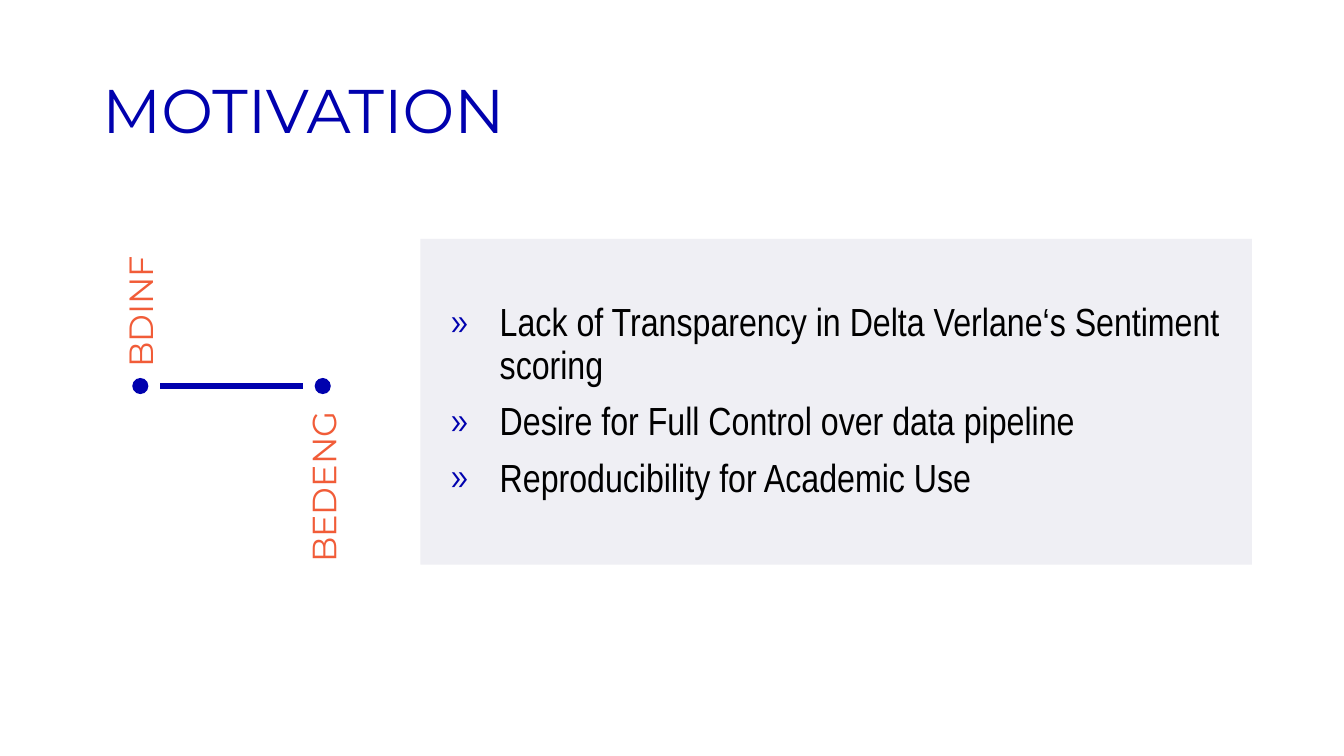
"""Build the motivation slide with a two-course timeline and a bullet panel."""
import pptx
import pptx.dml.color
import pptx.enum.shapes
import pptx.enum.text
import pptx.oxml
import pptx.oxml.ns
import pptx.util
from pptx.util import Pt

BLUE, ORANGE, PANEL, BLACK = "0001AE", "F15C38", "EFEFF4", "000000"
NAMESPACE = pptx.oxml.ns.nsdecls("a")


def paint(color_owner, color):
    color_owner.fill.solid()
    color_owner.fill.fore_color.rgb = pptx.dml.color.RGBColor.from_string(color)


def add_run(paragraph, text, size, font_name, color):
    run = paragraph.add_run()
    run.text = text
    run.font.size = Pt(size)
    run.font.name = font_name
    paint(run.font, color)


presentation = pptx.Presentation()
presentation.slide_width, presentation.slide_height = Pt(960), Pt(540)
slide = presentation.slides.add_slide(presentation.slide_layouts[5])

title = slide.shapes.title
title.left, title.top, title.width, title.height = Pt(66), Pt(28.8), Pt(828), Pt(104.4)
title.text_frame.vertical_anchor = pptx.enum.text.MSO_ANCHOR.MIDDLE
title_paragraph = title.text_frame.paragraphs[0]
title_paragraph.alignment = pptx.enum.text.PP_ALIGN.LEFT
title_paragraph.line_spacing = 0.9
add_run(title_paragraph, "MOTIVATION", 44, "Montserrat", BLUE)

panel = slide.shapes.add_shape(
    pptx.enum.shapes.MSO_SHAPE.RECTANGLE, Pt(300.2), Pt(170.7), Pt(594), Pt(232.6))
panel.shadow.inherit = False
paint(panel, PANEL)
panel.line.fill.background()
panel.text_frame.word_wrap = True
panel.text_frame.vertical_anchor = pptx.enum.text.MSO_ANCHOR.MIDDLE
reasons = [
    "Lack of Transparency in Delta Verlane‘s Sentiment scoring",
    "Desire for Full Control over data pipeline",
    "Reproducibility for Academic Use",
]
for index, reason in enumerate(reasons):
    paragraph = panel.text_frame.add_paragraph() if index else panel.text_frame.paragraphs[0]
    paragraph.alignment = pptx.enum.text.PP_ALIGN.LEFT
    paragraph.line_spacing = 0.9
    paragraph.space_before = Pt(10)
    properties = paragraph._p.get_or_add_pPr()
    properties.set("marL", str(Pt(49.7)))
    properties.set("indent", str(Pt(-35.3)))
    for bullet in (f'<a:buClr {NAMESPACE}><a:srgbClr val="{BLUE}"/></a:buClr>',
                   f'<a:buFont {NAMESPACE} typeface="Montserrat"/>',
                   f'<a:buChar {NAMESPACE} char="»"/>'):
        properties.append(pptx.oxml.parse_xml(bullet))
    add_run(paragraph, reason, 28, "Arial Narrow", BLACK)

for dot_left in (94.5, 224.8):
    dot = slide.shapes.add_shape(
        pptx.enum.shapes.MSO_SHAPE.OVAL, Pt(dot_left), Pt(270), Pt(11.5), Pt(11.5))
    dot.shadow.inherit = False
    paint(dot, BLUE)
    dot.line.fill.background()

timeline = slide.shapes.add_connector(
    pptx.enum.shapes.MSO_CONNECTOR.STRAIGHT, Pt(114.5), Pt(275.75), Pt(216.7), Pt(275.75))
paint(timeline.line, BLUE)
timeline.line.width = Pt(4.5)
timeline._element.spPr.append(pptx.oxml.parse_xml(f"<a:effectLst {NAMESPACE}/>"))

courses = [
    ("BEDENG", 158.4, 341.3, 144.7, pptx.enum.text.PP_ALIGN.RIGHT),
    ("BDINF", 28.1, 180, 143.3, pptx.enum.text.PP_ALIGN.LEFT),
]
for name, left, top, width, alignment in courses:
    label = slide.shapes.add_textbox(Pt(left), Pt(top), Pt(width), Pt(36))
    label.rotation = 270
    label.text_frame.word_wrap = True
    label.text_frame.auto_size = pptx.enum.text.MSO_AUTO_SIZE.SHAPE_TO_FIT_TEXT
    label.text_frame.paragraphs[0].alignment = alignment
    add_run(label.text_frame.paragraphs[0], name, 24, "Montserrat", ORANGE)

presentation.save("out.pptx")
